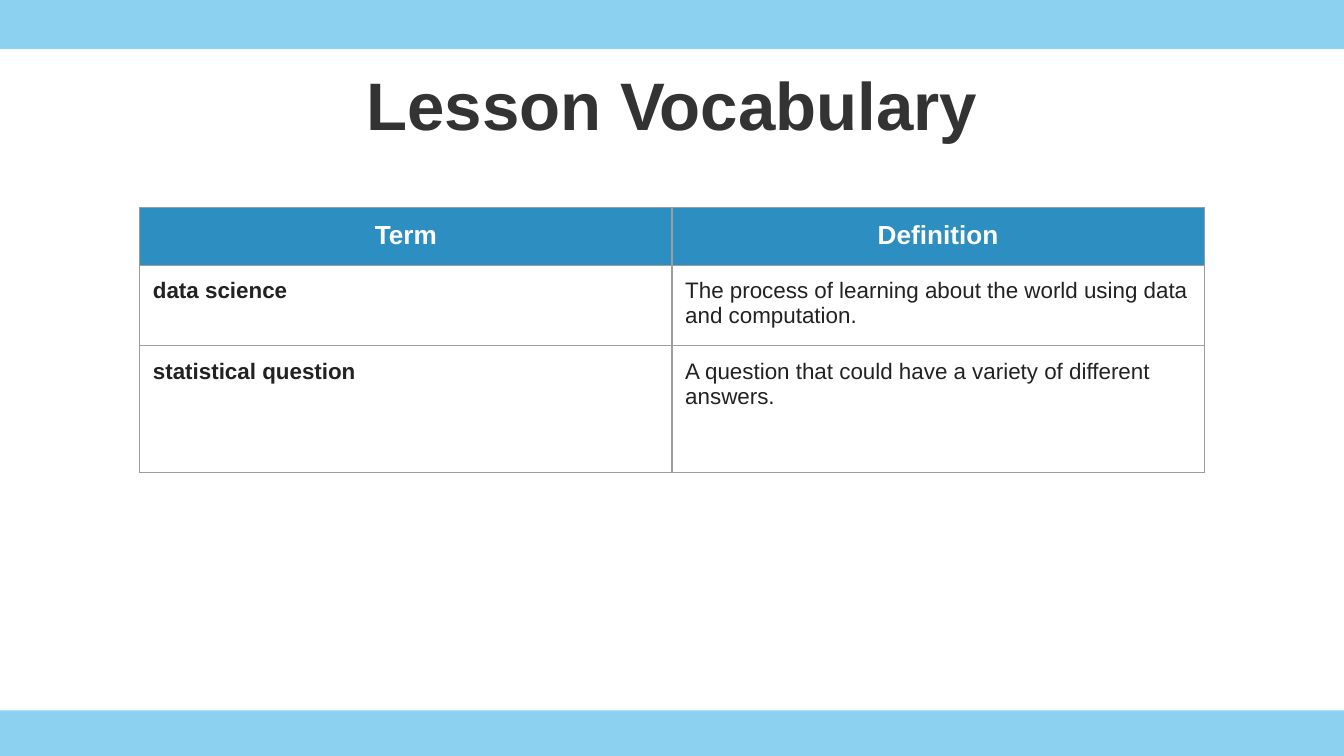
import pptx
import pptx.util
import pptx.dml.color
import pptx.enum.shapes
import pptx.enum.text
import pptx.oxml
import pptx.oxml.ns

Cm = pptx.util.Cm
Pt = pptx.util.Pt
RGB = pptx.dml.color.RGBColor
ALIGN = pptx.enum.text.PP_ALIGN
ANCHOR = pptx.enum.text.MSO_ANCHOR

SKY = RGB(0x27, 0xA9, 0xE1)
BLUE = RGB(0x2D, 0x8E, 0xC2)
WHITE = RGB(0xFF, 0xFF, 0xFF)
DARK = RGB(0x33, 0x33, 0x33)
INK = RGB(0x22, 0x22, 0x22)
GREY = RGB(0x9E, 0x9E, 0x9E)
NS = pptx.oxml.ns.nsdecls("a")
PAD = {"margin_" + side: Cm(0.25) for side in ("left", "right", "top", "bottom")}


def apply(item, values):
    for name, value in values.items():
        setattr(item, name, value)


def write(para, text, align, size, color, bold):
    para.alignment = align
    run = para.add_run()
    run.text = text
    apply(run.font, {"name": "Arial", "size": Pt(size), "bold": bold})
    run.font.color.rgb = color


deck = pptx.Presentation()
apply(deck, {"slide_width": Cm(25.4), "slide_height": Cm(14.29)})
slide = deck.slides.add_slide(deck.slide_layouts[6])

for top, height in ((0, 0.93), (13.43, 0.86)):
    band = slide.shapes.add_shape(
        pptx.enum.shapes.MSO_SHAPE.RECTANGLE, 0, Cm(top), Cm(25.4), Cm(height))
    band.shadow.inherit = False
    band.line.fill.background()
    band.fill.solid()
    band.fill.fore_color.rgb = SKY
    tint = band.fill._xPr.find(".//" + pptx.oxml.ns.qn("a:srgbClr"))
    tint.append(pptx.oxml.parse_xml(f'<a:alpha {NS} val="53000"/>'))

title = slide.shapes.add_textbox(Cm(1.27), Cm(0.58), Cm(22.86), Cm(2.39))
frame = title.text_frame
apply(frame, {**PAD, "word_wrap": True, "vertical_anchor": ANCHOR.BOTTOM})
write(frame.paragraphs[0], "Lesson Vocabulary", ALIGN.CENTER, 36, DARK, True)

rows = (
    ("Term", "Definition"),
    ("data science",
     "The process of learning about the world using data and computation."),
    ("statistical question",
     "A question that could have a variety of different answers."),
)
sizes = (1.06, 1.45, 2.4)
table = slide.shapes.add_table(
    3, 2, Cm(2.64), Cm(3.92), Cm(20.12), Cm(sum(sizes))).table
apply(table, {"first_row": False, "horz_banding": False})
for col in table.columns:
    col.width = Cm(10.06)

for r, texts in enumerate(rows):
    table.rows[r].height = Cm(sizes[r])
    for c, text in enumerate(texts):
        cell = table.cell(r, c)
        apply(cell, {**PAD, "vertical_anchor": ANCHOR.TOP})
        para = cell.text_frame.paragraphs[0]
        if r == 0:
            cell.fill.solid()
            cell.fill.fore_color.rgb = BLUE
            write(para, text, ALIGN.CENTER, 14, WHITE, True)
        else:
            cell.fill.background()
            write(para, text, ALIGN.LEFT, 12, INK, c == 0)
        for i, side in enumerate("LRTB"):
            edge = pptx.oxml.parse_xml(
                f'<a:ln{side} {NS} w="{Pt(0.75)}"><a:solidFill>'
                f'<a:srgbClr val="{GREY}"/></a:solidFill></a:ln{side}>')
            cell._tc.tcPr.insert(i, edge)

deck.save("out.pptx")
